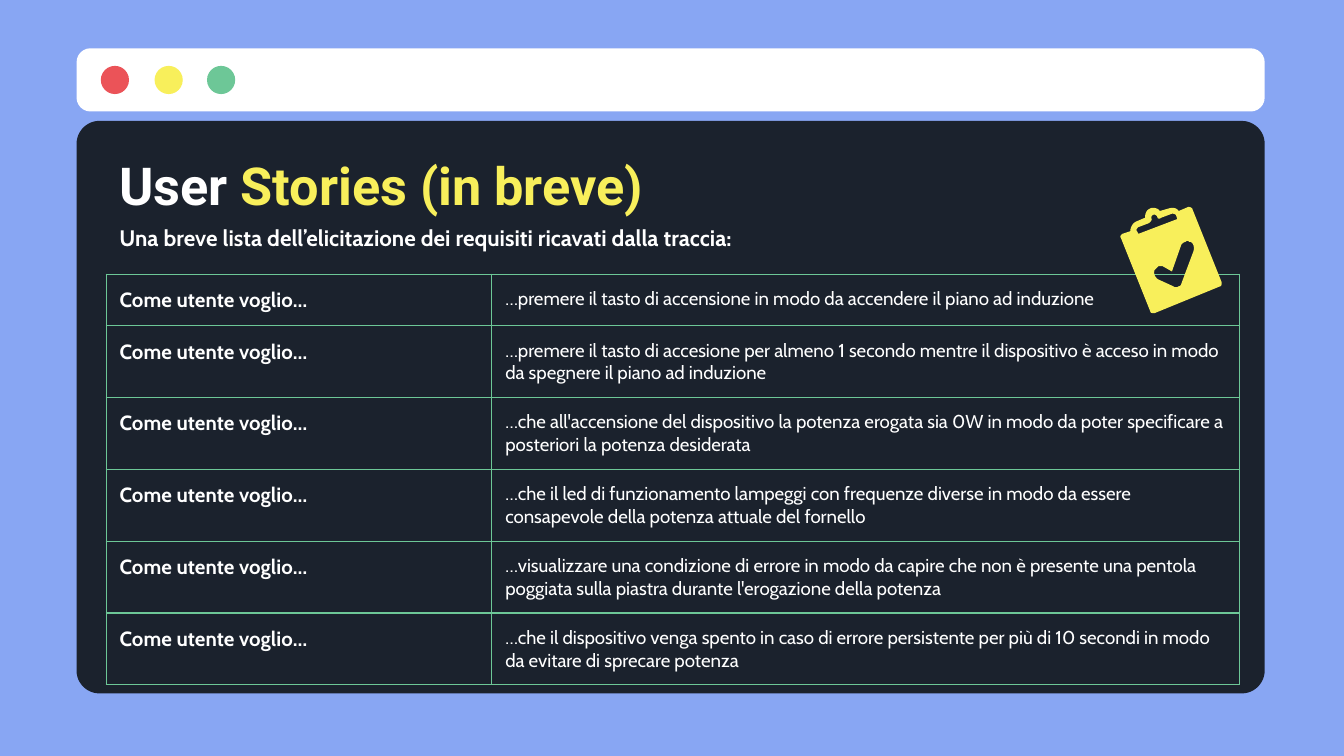
from dataclasses import dataclass

from lxml import etree
from pptx import Presentation
from pptx.dml.color import RGBColor
from pptx.enum.shapes import MSO_SHAPE
from pptx.enum.text import MSO_ANCHOR
from pptx.oxml.ns import qn
from pptx.util import Inches, Pt

ROUNDED = MSO_SHAPE.ROUNDED_RECTANGLE
OVAL = MSO_SHAPE.OVAL
TOP = MSO_ANCHOR.TOP
MIDDLE = MSO_ANCHOR.MIDDLE
PLAIN_TABLE = "{2D5ABB26-0587-4C30-8999-92F81FD0307C}"


@dataclass(frozen=True)
class Theme:
    sky: str = "88A6F3"
    white: str = "FFFFFF"
    night: str = "1B222D"
    red: str = "EB5358"
    yellow: str = "F8EF5B"
    green: str = "6DC797"
    title_font: str = "Roboto"
    body_font: str = "Cabin"
    title_size: int = 28
    subtitle_size: int = 12
    lead_size: int = 11
    story_size: int = 10
    border: float = 0.75


THEME = Theme()


@dataclass(frozen=True)
class Box:
    left: float
    top: float
    width: float
    height: float

    def lengths(self) -> tuple:
        return tuple(Inches(n) for n in (self.left, self.top, self.width, self.height))


@dataclass(frozen=True)
class Span:
    text: str
    size: int
    font: str
    color: str = THEME.white
    bold: bool = True


@dataclass(frozen=True)
class Story:
    text: str
    height: float = 0.53
    space_after: int = 16


LEAD = "Come utente voglio…"
STORIES = (
    Story("…premere il tasto di accensione in modo da accendere il piano ad induzione", 0.38),
    Story("…premere il tasto di accesione per almeno 1 secondo mentre il dispositivo è acceso "
          "in modo da spegnere il piano ad induzione"),
    Story("…che all'accensione del dispositivo la potenza erogata sia 0W in modo da poter "
          "specificare a posteriori la potenza desiderata"),
    Story("…che il led di funzionamento lampeggi con frequenze diverse in modo da essere "
          "consapevole della potenza attuale del fornello"),
    Story("…visualizzare una condizione di errore in modo da capire che non è presente una "
          "pentola poggiata sulla piastra durante l'erogazione della potenza", space_after=0),
    Story("…che il dispositivo venga spento in caso di errore persistente per più di 10 "
          "secondi in modo da evitare di sprecare potenza"),
)
COLUMNS = (2.87, 5.56)
BUTTONS = ((0.75, THEME.red), (1.15, THEME.yellow), (1.54, THEME.green))

CLIP = (
    (8.58, 1.6), (8.59, 1.59, 8.6, 1.6, 8.61, 1.61), (8.61, 1.63, 8.63, 1.63, 8.64, 1.62),
    (8.72, 1.59), (8.73, 1.59, 8.74, 1.59, 8.75, 1.6), (8.76, 1.63), (8.47, 1.74),
    (8.46, 1.72), (8.45, 1.71, 8.46, 1.7, 8.47, 1.69), (8.55, 1.66),
    (8.56, 1.65, 8.57, 1.64, 8.57, 1.63), (8.56, 1.62, 8.57, 1.6, 8.58, 1.6),
)
CHECK = (
    (8.82, 1.8), (8.83, 1.79, 8.84, 1.79, 8.85, 1.8), (8.86, 1.8),
    (8.88, 1.81, 8.89, 1.84, 8.88, 1.87), (8.79, 2.11),
    (8.79, 2.12, 8.78, 2.13, 8.77, 2.13), (8.76, 2.14, 8.74, 2.14, 8.73, 2.13),
    (8.62, 2.08), (8.6, 2.07, 8.58, 2.04, 8.59, 2.01),
    (8.6, 2, 8.61, 1.99, 8.62, 1.98), (8.63, 1.98, 8.64, 1.98, 8.65, 1.98),
    (8.72, 2.02), (8.79, 1.82), (8.8, 1.81, 8.81, 1.8, 8.82, 1.8),
)
BOARD = (
    (8.56, 1.55), (8.53, 1.56, 8.52, 1.59, 8.52, 1.62), (8.45, 1.65),
    (8.43, 1.66, 8.41, 1.69, 8.41, 1.72), (8.35, 1.74),
    (8.34, 1.75, 8.33, 1.76, 8.34, 1.77), (8.56, 2.32),
    (8.56, 2.33, 8.58, 2.33, 8.59, 2.33), (9.08, 2.13),
    (9.09, 2.13, 9.09, 2.11, 9.09, 2.1), (8.87, 1.55),
    (8.86, 1.54, 8.85, 1.54, 8.84, 1.54), (8.77, 1.57),
    (8.76, 1.55, 8.73, 1.54, 8.7, 1.55), (8.63, 1.57),
    (8.62, 1.55, 8.58, 1.54, 8.56, 1.55),
)


def paint(shape, color: str) -> None:
    shape.shadow.inherit = False
    shape.fill.solid()
    shape.fill.fore_color.rgb = RGBColor.from_string(color)
    shape.line.fill.background()


def add_block(page, kind, box: Box, color: str):
    shape = page.shapes.add_shape(kind, *box.lengths())
    paint(shape, color)
    return shape


def write(para, *spans: Span) -> None:
    for span in spans:
        run = para.add_run()
        run.text = span.text
        run.font.name = span.font
        run.font.size = Pt(span.size)
        run.font.bold = span.bold
        run.font.color.rgb = RGBColor.from_string(span.color)


def set_margins(holder) -> None:
    holder.margin_left = holder.margin_right = Inches(0.1)
    holder.margin_top = holder.margin_bottom = Inches(0.1)


def add_text(page, box: Box, anchor, *spans: Span) -> None:
    frame = page.shapes.add_textbox(*box.lengths()).text_frame
    frame.word_wrap = True
    frame.vertical_anchor = anchor
    set_margins(frame)
    write(frame.paragraphs[0], *spans)


def fill_cell(cell, span: Span, space_after: int = 0) -> None:
    set_margins(cell)
    para = cell.text_frame.paragraphs[0]
    para.space_after = Pt(space_after)
    write(para, span)
    properties = cell._tc.get_or_add_tcPr()
    for side in ("lnL", "lnR", "lnT", "lnB"):
        line = etree.SubElement(properties, qn(f"a:{side}"), w=str(Pt(THEME.border)))
        solid = etree.SubElement(line, qn("a:solidFill"))
        etree.SubElement(solid, qn("a:srgbClr"), val=THEME.green)
    cell.fill.background()


def add_stories(page, left: float, top: float) -> None:
    box = Box(left, top, sum(COLUMNS), sum(story.height for story in STORIES))
    table = page.shapes.add_table(len(STORIES), len(COLUMNS), *box.lengths()).table
    table.first_row = table.horz_banding = False
    table._tbl.tblPr.find(qn("a:tableStyleId")).text = PLAIN_TABLE
    for column, width in zip(table.columns, COLUMNS):
        column.width = Inches(width)
    for row, story in zip(table.rows, STORIES):
        row.height = Inches(story.height)
        fill_cell(row.cells[0], Span(LEAD, THEME.lead_size, THEME.body_font))
        fill_cell(row.cells[1], Span(story.text, THEME.story_size, THEME.body_font, bold=False),
                  story.space_after)


def trace(contour: tuple, steps: int = 6) -> list:
    points = [contour[0]]
    for segment in contour[1:]:
        if len(segment) == 2:
            points.append(segment)
            continue
        knots = (points[-1], segment[:2], segment[2:4], segment[4:])
        for step in range(1, steps + 1):
            t = step / steps
            weights = ((1 - t) ** 3, 3 * t * (1 - t) ** 2, 3 * t * t * (1 - t), t ** 3)
            points.append(tuple(sum(w * k[axis] for w, k in zip(weights, knots))
                                for axis in (0, 1)))
    return [(Inches(x), Inches(y)) for x, y in points]


def add_clipboard(page) -> None:
    board, *holes = [trace(contour) for contour in (BOARD, CLIP, CHECK)]
    builder = page.shapes.build_freeform(*board[0])
    builder.add_line_segments(board[1:], close=True)
    for hole in holes:
        builder.move_to(*hole[0])
        builder.add_line_segments(hole[1:], close=True)
    paint(builder.convert_to_shape(), THEME.yellow)


def main() -> None:
    deck = Presentation()
    deck.slide_width, deck.slide_height = Inches(10), Inches(10) * 9 // 16
    page = deck.slides.add_slide(deck.slide_layouts[6])
    page.background.fill.solid()
    page.background.fill.fore_color.rgb = RGBColor.from_string(THEME.sky)

    add_block(page, ROUNDED, Box(0.57, 0.36, 8.84, 0.47), THEME.white).adjustments[0] = 0.22
    for left, color in BUTTONS:
        add_block(page, OVAL, Box(left, 0.49, 0.21, 0.21), color)
    add_block(page, ROUNDED, Box(0.57, 0.9, 8.84, 4.26), THEME.night).adjustments[0] = 0.04

    add_text(page, Box(0.79, 1.06, 8.43, 0.62), MIDDLE,
             Span("User ", THEME.title_size, THEME.title_font),
             Span("Stories (in breve)", THEME.title_size, THEME.title_font, THEME.yellow))
    add_stories(page, 0.79, 2.04)
    add_text(page, Box(0.79, 1.57, 8.43, 0.38), TOP,
             Span("Una breve lista dell’elicitazione dei requisiti ricavati dalla traccia:",
                  THEME.subtitle_size, THEME.body_font))
    add_clipboard(page)
    deck.save("out.pptx")


if __name__ == "__main__":
    main()
